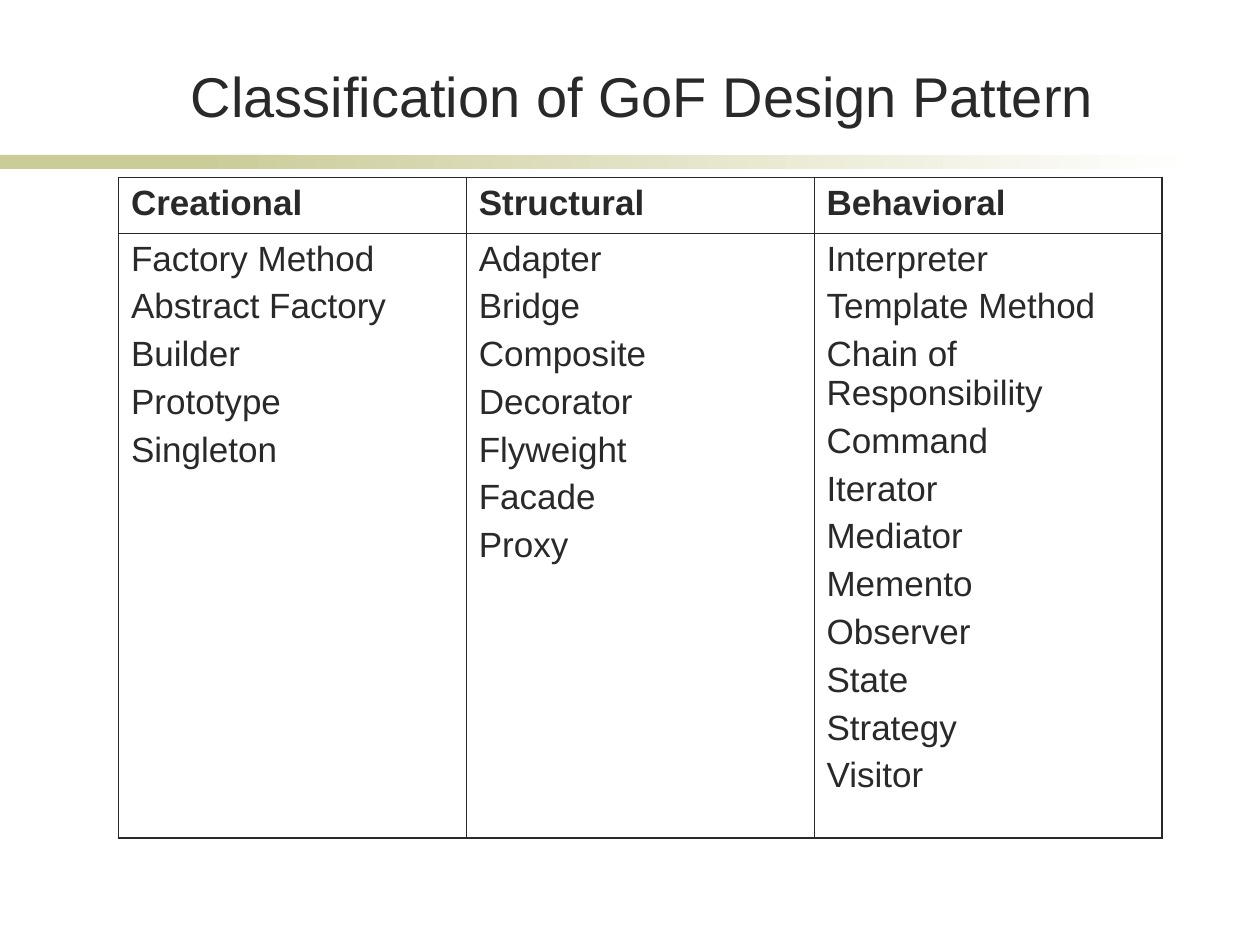
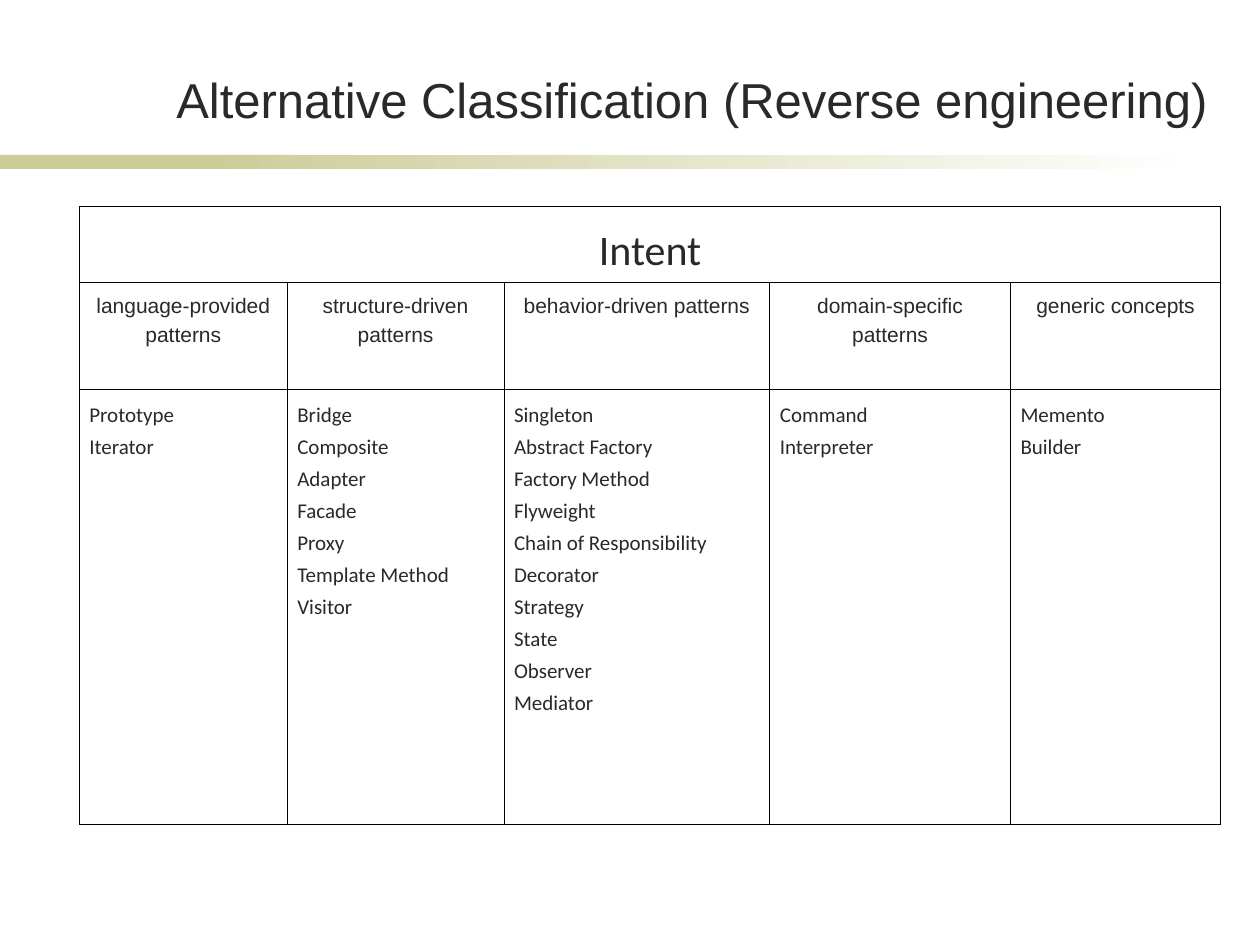
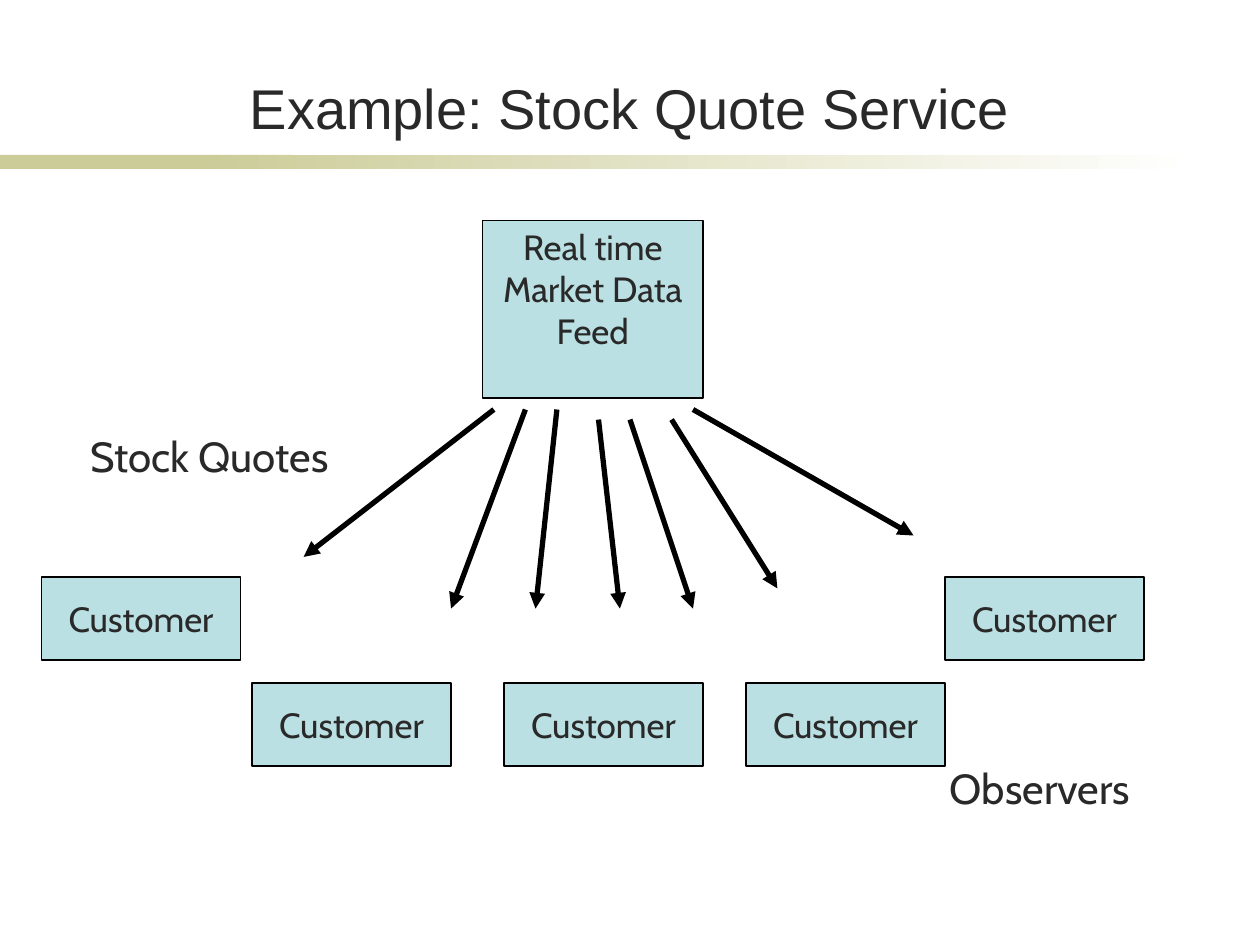
from lxml import etree
from pptx import Presentation
from pptx.dml.color import RGBColor
from pptx.enum import shapes, text
from pptx.oxml import ns
from pptx.util import Inches, Pt


class Theme:
    ink = RGBColor.from_string("292929")
    black = RGBColor.from_string("000000")
    white = RGBColor.from_string("FFFFFF")
    olive = RGBColor.from_string("CCCC99")
    aqua = RGBColor.from_string("BBE0E3")
    sans, table, diagram = "Arial", "Calibri", "Cabin"
    title, heading, body, small = 32, 24, 20, 12
    thin, medium, thick, arrow = 0.45, 0.75, 1.08, 3


CENTER, LEFT = text.PP_ALIGN.CENTER, text.PP_ALIGN.LEFT
RECT = shapes.MSO_SHAPE.RECTANGLE


def write(tf, lines, size, font, align=LEFT, bold=False, gap=0, spacing=None):
    tf.word_wrap = True
    tf.text = "\n".join(lines)
    for i, p in enumerate(tf.paragraphs):
        p.alignment = align
        p.space_before = Pt(gap if i else 0)
        if spacing:
            p.line_spacing = spacing
        for r in p.runs:
            r.font.size, r.font.name, r.font.bold = Pt(size), font, bold
            r.font.color.rgb = Theme.ink


def add_slide(title, box, size=Theme.title):
    s = prs.slides.add_slide(prs.slide_layouts[6])
    # Olive band that fades to white
    for left, width, fades in ((0, 2.33, False), (1.58, 7.92, True)):
        band = s.shapes.add_shape(RECT, Inches(left), Inches(1.23), Inches(width), Inches(0.11))
        band.shadow.inherit = False
        band.line.fill.background()
        if fades:
            band.fill.gradient()
            band.fill.gradient_angle = 0
            for stop, color in zip(band.fill.gradient_stops, (Theme.olive, Theme.white)):
                stop.color.rgb = color
        else:
            band.fill.solid()
            band.fill.fore_color.rgb = Theme.olive
    # Title
    tf = s.shapes.add_textbox(*map(Inches, box)).text_frame
    write(tf, [title], size, Theme.sans, CENTER)
    tf.vertical_anchor = text.MSO_ANCHOR.BOTTOM
    return s


prs = Presentation()
prs.slide_width, prs.slide_height = Inches(10), Inches(7.5)

# Table contents: each row holds cells, each cell holds lines
gof_rows = [
    [["Creational"], ["Structural"], ["Behavioral"]],
    [
        ["Factory Method", "Abstract Factory", "Builder", "Prototype", "Singleton"],
        ["Adapter", "Bridge", "Composite", "Decorator", "Flyweight", "Facade", "Proxy"],
        ["Interpreter", "Template Method", "Chain of Responsibility", "Command", "Iterator",
         "Mediator", "Memento", "Observer", "State", "Strategy", "Visitor"],
    ],
]
intent_rows = [
    [["Intent"]],
    [["language-provided patterns"], ["structure-driven patterns"], ["behavior-driven patterns"],
     ["domain-specific patterns"], ["generic concepts"]],
    [
        ["Prototype", "Iterator"],
        ["Bridge", "Composite", "Adapter", "Facade", "Proxy", "Template Method", "Visitor"],
        ["Singleton", "Abstract Factory", "Factory Method", "Flyweight", "Chain of Responsibility",
         "Decorator", "Strategy", "State", "Observer", "Mediator"],
        ["Command", "Interpreter"],
        ["Memento", "Builder"],
    ],
]

# Text style of each table row
gof_styles = [
    dict(size=Theme.body, font=Theme.sans, bold=True),
    dict(size=Theme.body, font=Theme.sans, gap=5),
]
intent_styles = [
    dict(size=Theme.heading, font=Theme.table, align=CENTER, spacing=1.25),
    dict(size=Theme.small, font=Theme.sans, align=CENTER, spacing=1.25),
    dict(size=Theme.small, font=Theme.table, spacing=1.25),
]

# Slides 1 and 2: classification tables (rules are line widths from first to last edge)
tables = [
    dict(title="Classification of GoF Design Pattern", box=(1.14, 0.44, 7.92, 0.63),
         size=Theme.title, at=(0.94, 1.41), cols=[2.76] * 3, heights=[0.44, 4.8],
         rows=gof_rows, styles=gof_styles, inset=0.1, color=Theme.ink,
         rules=[Theme.thick, Theme.thin, Theme.thick], side=Theme.thick),
    dict(title="Alternative Classification (Reverse engineering)", box=(1.14, 0.44, 8.7, 0.63),
         size=28, at=(0.63, 1.64), cols=[1.65, 1.72, 2.11, 1.91, 1.67],
         heights=[0.5, 0.85, 3.45], rows=intent_rows, styles=intent_styles, inset=0.08,
         color=Theme.black, rules=[Theme.thin, Theme.thin, Theme.medium, Theme.thin],
         side=Theme.thin),
]
for t in tables:
    s = add_slide(t["title"], t["box"], t["size"])
    cols, heights, rules = t["cols"], t["heights"], t["rules"]
    sides = [t["side"]] + [Theme.thin] * (len(cols) - 1) + [t["side"]]
    size = (sum(cols), sum(heights))
    tbl = s.shapes.add_table(len(heights), len(cols), *map(Inches, t["at"] + size)).table
    tbl.first_row = tbl.horz_banding = False
    for col, width in zip(tbl.columns, cols):
        col.width = Inches(width)
    for row, height in zip(tbl.rows, heights):
        row.height = Inches(height)
    for i, row in enumerate(tbl.rows):
        for j, cell in enumerate(row.cells):
            cell.margin_left = cell.margin_right = Inches(t["inset"])
            cell.margin_top = cell.margin_bottom = Inches(0.05)
            tcPr = cell._tc.get_or_add_tcPr()
            edges = dict(lnL=sides[j], lnR=sides[j + 1], lnT=rules[i], lnB=rules[i + 1])
            for tag, width in edges.items():
                ln = etree.SubElement(tcPr, ns.qn("a:" + tag), w=str(Pt(width)))
                fill = etree.SubElement(ln, ns.qn("a:solidFill"))
                etree.SubElement(fill, ns.qn("a:srgbClr"), val=str(t["color"]))
            cell.fill.background()
        for cell, lines in zip(row.cells, t["rows"][i]):
            write(cell.text_frame, lines, **t["styles"][i])
        if len(t["rows"][i]) == 1:
            tbl.cell(i, 0).merge(tbl.cell(i, len(cols) - 1))

# Slide 3: observer example
s = add_slide("Example: Stock Quote Service", (0.5, 0.3, 9, 0.87))

# Feed and customer boxes; the feed text sits above the middle
customers = [(2, 5.42), (0.33, 4.58), (4, 5.42), (5.92, 5.42), (7.5, 4.58)]
boxes = [((3.83, 1.75, 1.75, 1.41), ["Real time", "Market Data", "Feed"], 0.38)]
boxes += [((x, y, 1.58, 0.66), ["Customer"], 0.05) for x, y in customers]
for at, lines, bottom in boxes:
    sp = s.shapes.add_shape(RECT, *map(Inches, at))
    sp.shadow.inherit = False
    sp.fill.solid()
    sp.fill.fore_color.rgb = Theme.aqua
    sp.line.color.rgb = Theme.black
    sp.line.width = Pt(Theme.medium)
    tf = sp.text_frame
    write(tf, lines, Theme.body, Theme.diagram, CENTER)
    tf.vertical_anchor = text.MSO_ANCHOR.MIDDLE
    tf.margin_bottom = Inches(bottom)

# Quote arrows
arrows = [
    (3.92, 3.25, 2.41, 4.42), (4.17, 3.25, 3.58, 4.83), (4.42, 3.25, 4.25, 4.83),
    (4.75, 3.33, 4.92, 4.83), (5, 3.33, 5.5, 4.83), (5.33, 3.33, 6.17, 4.67),
    (5.5, 3.25, 7.25, 4.25),
]
for ends in arrows:
    arrow = s.shapes.add_connector(shapes.MSO_CONNECTOR.STRAIGHT, *map(Inches, ends))
    arrow.line.color.rgb = Theme.black
    arrow.line.width = Pt(Theme.arrow)
    etree.SubElement(arrow.line._get_or_add_ln(), ns.qn("a:tailEnd"), type="triangle")
    etree.SubElement(arrow._element.spPr, ns.qn("a:effectLst"))

# Labels
for label, at in (("Stock Quotes", (0.62, 3.37, 2.26, 0.5)), ("Observers", (7.44, 6, 1.8, 0.5))):
    tf = s.shapes.add_textbox(*map(Inches, at)).text_frame
    write(tf, [label], Theme.heading, Theme.diagram)

prs.save("out.pptx")
